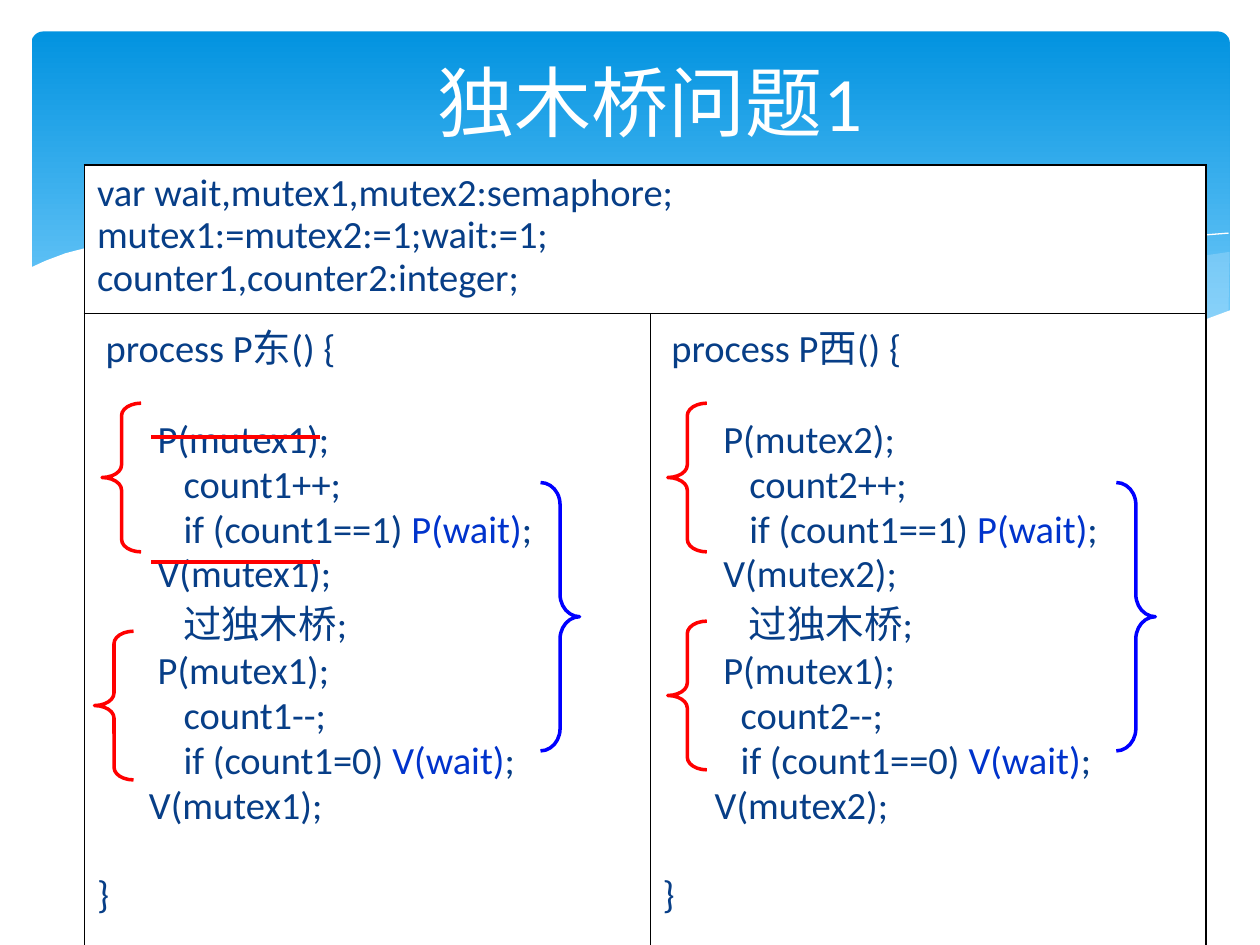
from lxml import etree
from pptx import Presentation
from pptx.dml.color import RGBColor
from pptx.enum.shapes import MSO_CONNECTOR as Link, MSO_SHAPE as Kind
from pptx.enum.text import MSO_ANCHOR as Anchor, PP_ALIGN as Align
from pptx.oxml import parse_xml
from pptx.oxml.ns import nsdecls, qn
from pptx.util import Inches, Pt

WHITE = RGBColor(0xFF, 0xFF, 0xFF)
DEEP = RGBColor(0x02, 0x93, 0xE0)
LIGHT = RGBColor(0x83, 0xD3, 0xFE)
PALE = RGBColor(0xC6, 0xE7, 0xFC)
NAVY = RGBColor(0x07, 0x3E, 0x87)
ROYAL = RGBColor(0x00, 0x33, 0xCC)
RED = RGBColor(0xFF, 0x00, 0x00)
BLUE = RGBColor(0x00, 0x00, 0xFF)
FACE = "Calibri"

RIGHT = [(9.52, .16), (9.25, .2), (8.98, .26), (8.38, .39), (7.82, .53), (7.3, .64),
         (6.83, .73), (6.38, .81), (6.82, .87), (7.22, .91), (7.58, .93), (7.91, .94),
         (8.21, .93), (8.49, .9), (8.74, .86), (8.98, .81), (9.19, .75), (9.52, .63),
         (9.53, .16)]
BROAD = [(8.7, .89), (8.14, .81), (7.52, .7), (6.83, .56), (6.06, .38), (5.61, .27),
         (5.18, .19), (4.78, .12), (4.41, .07), (3.97, .03), (3.57, .01), (3.21, .02),
         (2.9, .04), (2.63, .07), (3.19, .15), (3.81, .27), (4.26, .38), (5.07, .56),
         (5.78, .71), (6.42, .82), (6.99, .9), (7.5, .94), (7.95, .95), (8.34, .93)]
CREST = [(2.86, .11), (3.05, .08), (3.4, .05), (3.78, .03), (4.27, .04), (4.87, .08),
         (5.59, .16), (6.42, .29), (7.37, .49), (8.08, .67), (8.84, .88)]
RISE = [(5.9, .73), (6.29, .62), (6.97, .45), (7.53, .32), (8.13, .2), (8.72, .1),
        (9.14, .04), (9.52, .01)]
FRONT = [(9.54, .62), (9.27, .72), (8.97, .81), (8.64, .87), (8.27, .91), (7.86, .93),
         (7.38, .91), (6.85, .86), (6.24, .78), (5.56, .66), (4.8, .49), (4.24, .36),
         (3.68, .23), (3.16, .13), (2.69, .06), (2.27, .02), (1.88, 0), (1.53, 0),
         (1.23, .01), (.96, .03), (.72, .07), (.52, .11), (.29, .17), (.13, .23),
         (0, .29), (0, 1.45), (9.54, 1.45)]


def add_panel(slide, x, y, w, h):
    """Draw the rounded gradient panel."""
    panel = slide.shapes.add_shape(Kind.ROUNDED_RECTANGLE, Inches(x), Inches(y),
                                   Inches(w), Inches(h))
    panel.shadow.inherit = False
    panel.adjustments[0] = 0.034
    panel.line.fill.background()
    panel.fill.gradient()
    panel.fill.gradient_angle = 270
    for stop, place, tint in zip(panel.fill.gradient_stops, (0, 1), (DEEP, LIGHT)):
        stop.position = place
        stop.color.rgb = tint


def add_wave(slide, x, y, points, tint=None, alpha=100):
    """Draw a filled wave, or a thin white curve if no tint is given."""
    spots = [(Inches(x + dx), Inches(y + dy)) for dx, dy in points]
    pen = slide.shapes.build_freeform(*spots[0])
    pen.add_line_segments(spots[1:], close=tint is not None)
    wave = pen.convert_to_shape()
    wave.shadow.inherit = False
    if tint is None:
        wave.fill.background()
        wave.line.color.rgb = WHITE
        wave.line.width = Pt(0)
        return
    wave.line.fill.background()
    wave.fill.solid()
    wave.fill.fore_color.rgb = tint
    if alpha < 100:
        color = wave.fill._xPr.find(qn("a:solidFill"))[0]
        etree.SubElement(color, qn("a:alpha")).set("val", str(alpha * 1000))


def add_waves(slide, x, y):
    """Stack the waves from back to front."""
    add_wave(slide, x, y, RIGHT, PALE, 29)
    add_wave(slide, x, y, BROAD, PALE, 40)
    add_wave(slide, x, y, CREST)
    add_wave(slide, x, y, RISE)
    add_wave(slide, x, y, FRONT, WHITE)


def style(para, size, tint):
    """Set the font of a paragraph."""
    para.font.name = FACE
    para.font.size = Pt(size)
    para.font.color.rgb = tint


def add_title(slide, x, y, w, h):
    """Write the centred title."""
    frame = slide.shapes.add_textbox(Inches(x), Inches(y), Inches(w), Inches(h)).text_frame
    frame.word_wrap = True
    frame.vertical_anchor = Anchor.MIDDLE
    para = frame.paragraphs[0]
    para.text = "独木桥问题1"
    para.alignment = Align.CENTER
    style(para, 44, WHITE)


def get_code(side, num, pad, test):
    """List the lines of one process, with bars around the wait calls."""
    gap = " " * pad
    return [f" process P{side}() {{", f"       P(mutex{num});", f"          count{num}++;",
            "          if (count1==1) |P(wait)|;", f"       V(mutex{num});",
            "          过独木桥;", "       P(mutex1);", f"{gap}count{num}--;",
            f"{gap}if (count1{test}0) |V(wait)|;", f"      V(mutex{num});", "}"]


def fill_cell(cell, lines, pitch, gaps=()):
    """Write code lines in a white cell, with a line's gap before some of them."""
    cell.fill.solid()
    cell.fill.fore_color.rgb = WHITE
    cell.margin_top = Inches(0.09)
    frame = cell.text_frame
    for i, line in enumerate(lines):
        para = frame.add_paragraph() if i else frame.paragraphs[0]
        para.line_spacing = pitch
        if i:
            para.space_before = Pt(28.4 if i in gaps else 2.8)
        style(para, 22, NAVY)
        for j, part in enumerate(line.split("|")):
            run = para.add_run()
            run.text = part
            if j % 2:
                run.font.color.rgb = ROYAL


def set_edges(cell, *widths):
    """Set the left, right, top and bottom borders of a cell."""
    props = cell._tc.get_or_add_tcPr()
    for i, (side, width) in enumerate(zip("LRTB", widths)):
        props.insert(i, parse_xml(
            f'<a:ln{side} {nsdecls("a")} w="{Pt(width)}"><a:solidFill>'
            f'<a:srgbClr val="000000"/></a:solidFill></a:ln{side}>'))


def add_code(slide, x, y, w, h):
    """Build the table of declarations and the two processes."""
    table = slide.shapes.add_table(2, 2, Inches(x), Inches(y), Inches(w), Inches(h)).table
    table.first_row = table.horz_banding = False
    for col, width in zip(table.columns, (4.49, w - 4.49)):
        col.width = Inches(width)
    for row, height in zip(table.rows, (1.18, h - 1.18)):
        row.height = Inches(height)
    head = table.cell(0, 0)
    head.merge(table.cell(0, 1))
    fill_cell(head, ["var wait,mutex1,mutex2:semaphore;", "mutex1:=mutex2:=1;wait:=1;",
                     "counter1,counter2:integer;"], 0.8)
    fill_cell(table.cell(1, 0), get_code("东", 1, 10, "="), 0.85, (1, 10))
    fill_cell(table.cell(1, 1), get_code("西", 2, 9, "=="), 0.85, (1, 10))
    thick, thin = 1.08, 0.45
    for col in (0, 1):
        set_edges(table.cell(0, col), thick, thick, thick, thin)
    set_edges(table.cell(1, 0), thick, thin, thin, thick)
    set_edges(table.cell(1, 1), thin, thick, thin, thick)


def add_strike(slide, x, y, w):
    """Draw a red line through a call."""
    line = slide.shapes.add_connector(Link.STRAIGHT, Inches(x), Inches(y),
                                      Inches(x + w), Inches(y))
    line.line.color.rgb = RED
    line.line.width = Pt(2)
    etree.SubElement(line._element.spPr, qn("a:effectLst"))


def add_brace(slide, x, y, h, kind, tint, bend):
    """Draw a brace beside a block of code."""
    brace = slide.shapes.add_shape(kind, Inches(x), Inches(y), Inches(0.31), Inches(h))
    brace.shadow.inherit = False
    brace.adjustments[0] = bend
    brace.fill.background()
    brace.line.color.rgb = tint
    brace.line.width = Pt(2)


def add_marks(slide, x, y):
    """Place the strikes and braces over the table."""
    for dy in (2.16, 3.15):
        add_strike(slide, x + 0.53, y + dy, 1.34)
    for dx, dy in ((0.14, 1.89), (0.08, 3.7), (4.63, 1.89), (4.63, 3.62)):
        add_brace(slide, x + dx, y + dy, 1.18, Kind.LEFT_BRACE, RED, 0.32)
    for dx in (3.62, 8.19):
        add_brace(slide, x + dx, y + 2.52, 2.13, Kind.RIGHT_BRACE, BLUE, 0.57)


def main():
    """Build and save the slide."""
    deck = Presentation()
    deck.slide_width, deck.slide_height = Inches(10), Inches(7.5)
    slide = deck.slides.add_slide(deck.slide_layouts[6])
    add_panel(slide, 0.25, 0.25, 9.51, 2.7)
    add_waves(slide, 0.23, 1.84)
    add_code(slide, 0.67, 1.31, 8.9, 6.39)
    add_marks(slide, 0.67, 1.31)
    add_title(slide, 0.91, 0.45, 8.5, 0.7)
    deck.save("out.pptx")


if __name__ == "__main__":
    main()
